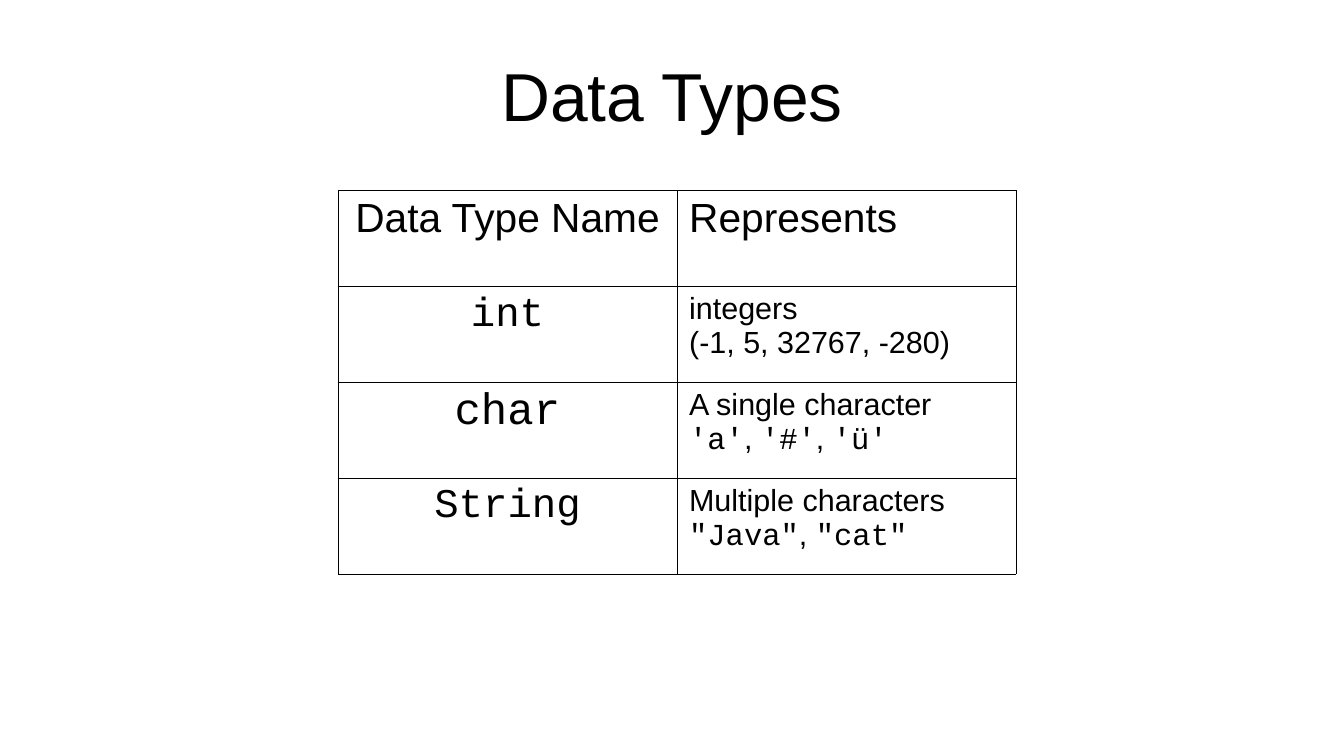
from lxml.etree import SubElement
from pptx import Presentation
from pptx.dml.color import RGBColor
from pptx.enum.text import MSO_ANCHOR as ANCHOR, PP_ALIGN as ALIGN
from pptx.oxml.ns import qn
from pptx.util import Emu, Pt

PX_PER_INCH = 122
COLORS = {"ink": "000000", "paper": "FFFFFF"}
SANS, MONO = "Arial", "Courier New"
BORDER_WIDTH = Pt(0.06)
COLUMN_WIDTH, ROW_HEIGHT = 339, 96
HEADINGS = ["Data Type Name", "Represents"]
DATA_TYPES = [
    ("int", 24, [[("integers", SANS)], [("(-1, 5, 32767, -280)", SANS)]]),
    ("char", 26, [
        [("A single character", SANS)],
        [("'a'", MONO), (", ", SANS), ("'#'", MONO), (", ", SANS), ("'ü'", MONO)],
    ]),
    ("String", 24, [
        [("Multiple characters", SANS)],
        [('"Java"', MONO), (", ", SANS), ('"cat"', MONO)],
    ]),
]


def px(length):
    """Turn a length in px into EMU."""
    return Emu(round(length * 914400 / PX_PER_INCH))


def color(name):
    """Return the named colour."""
    return RGBColor.from_string(COLORS[name])


def write(frame, lines, size, align):
    """Write lines of (text, font) runs into a text frame."""
    for index, line in enumerate(lines):
        paragraph = frame.add_paragraph() if index else frame.paragraphs[0]
        paragraph.alignment = align
        for text, font in line:
            run = paragraph.add_run()
            run.text = text
            run.font.name = font
            run.font.size = Pt(size)
            run.font.color.rgb = color("ink")


def add_title(slide, text):
    """Add the centred slide title."""
    frame = slide.shapes.add_textbox(px(67), px(31), px(1210), px(127)).text_frame
    frame.word_wrap = True
    frame.vertical_anchor = ANCHOR.MIDDLE
    frame.margin_left = frame.margin_right = 0
    frame.margin_top = frame.margin_bottom = 0
    write(frame, [[(text, SANS)]], 40, ALIGN.CENTER)


def add_borders(cell):
    """Draw a hairline on each side of a cell."""
    properties = cell._tc.get_or_add_tcPr()
    for position, side in enumerate(["lnL", "lnR", "lnT", "lnB"]):
        line = properties.makeelement(qn(f"a:{side}"), {"w": str(BORDER_WIDTH)})
        fill = SubElement(line, qn("a:solidFill"))
        SubElement(fill, qn("a:srgbClr"), val=COLORS["ink"])
        properties.insert(position, line)


def fill_cell(cell, lines, size, align):
    """Give a cell its text, fill and borders."""
    write(cell.text_frame, lines, size, align)
    cell.fill.solid()
    cell.fill.fore_color.rgb = color("paper")
    add_borders(cell)


def add_type_table(slide):
    """Add the table of data types and what they represent."""
    row_count = len(DATA_TYPES) + 1
    table = slide.shapes.add_table(
        row_count, 2, px(338), px(190), px(2 * COLUMN_WIDTH), px(row_count * ROW_HEIGHT)
    ).table
    for column, heading in enumerate(HEADINGS):
        align = ALIGN.LEFT if column else ALIGN.CENTER
        fill_cell(table.cell(0, column), [[(heading, SANS)]], 24, align)
    for row, (type_name, size, meaning) in enumerate(DATA_TYPES, start=1):
        fill_cell(table.cell(row, 0), [[(type_name, MONO)]], size, ALIGN.CENTER)
        fill_cell(table.cell(row, 1), meaning, 18, ALIGN.LEFT)


def main():
    """Build and save the slide."""
    deck = Presentation()
    deck.slide_width, deck.slide_height = px(1344), px(756)
    slide = deck.slides.add_slide(deck.slide_layouts[6])
    slide.background.fill.solid()
    slide.background.fill.fore_color.rgb = color("paper")
    add_title(slide, "Data Types")
    add_type_table(slide)
    deck.save("out.pptx")


if __name__ == "__main__":
    main()
